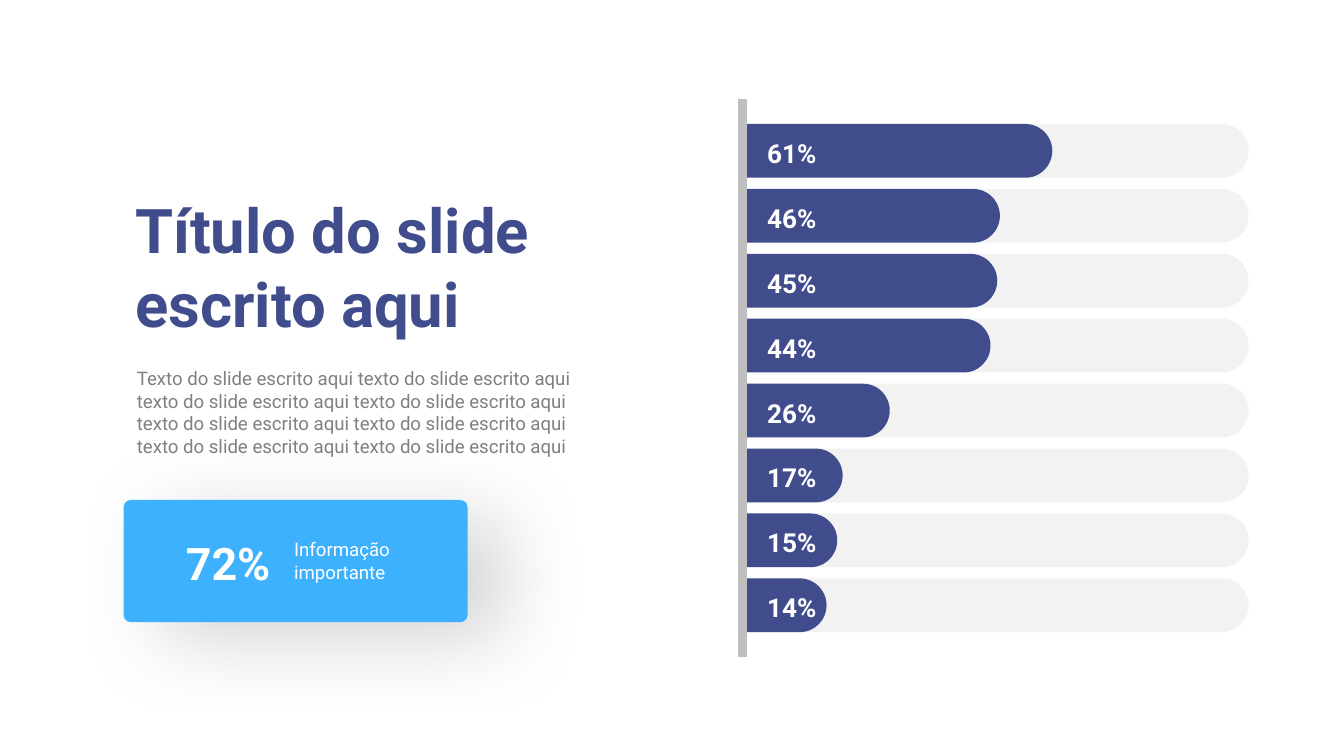
from lxml import etree
from pptx import Presentation
from pptx.dml.color import RGBColor
from pptx.enum.shapes import MSO_CONNECTOR, MSO_SHAPE
from pptx.enum.text import MSO_ANCHOR, MSO_AUTO_SIZE, PP_ALIGN
from pptx.oxml import parse_xml
from pptx.oxml.ns import nsdecls, qn
from pptx.util import Inches, Pt

RECTANGLE, ROUNDED = MSO_SHAPE.RECTANGLE, MSO_SHAPE.ROUNDED_RECTANGLE
STRAIGHT = MSO_CONNECTOR.STRAIGHT
TOP, MIDDLE = MSO_ANCHOR.TOP, MSO_ANCHOR.MIDDLE
GROW = MSO_AUTO_SIZE.SHAPE_TO_FIT_TEXT
LEFT = PP_ALIGN.LEFT

COLORS = {
    "navy": "414C8C",
    "sky": "3DB1FE",
    "track": "F2F2F2",
    "axis": "BFBFBF",
    "body": "808080",
    "white": "FFFFFF",
}
FONT = "Roboto"
COLUMNS, ROWS = 100, 56.25
CELL = Inches(0.1)
BAR_LEFT, BAR_TOP, BAR_HEIGHT, BAR_STEP = 45, 9.23, 4, 4.83
TRACK_END, AXIS_X = 92.9, 55.24
BARS = [
    ("61%", 78.3), ("46%", 74.4), ("45%", 74.2), ("44%", 73.7),
    ("26%", 66.2), ("17%", 62.7), ("15%", 62.3), ("14%", 61.5),
]
BODY = "Texto do slide escrito aqui" + " texto do slide escrito aqui" * 7


def cells(*counts):
    """Convert grid counts to slide lengths."""
    return [round(count * CELL) for count in counts]


def color(name):
    """Look up a named colour."""
    return RGBColor.from_string(COLORS[name])


def add_block(page, kind, area, fill, rounding=None):
    """Add a flat filled shape on the grid."""
    block = page.shapes.add_shape(kind, *cells(*area))
    block.shadow.inherit = False
    block.fill.solid()
    block.fill.fore_color.rgb = color(fill)
    block.line.fill.background()
    if rounding is not None:
        block.adjustments[0] = rounding
    return block


def write(box, text, size, ink, bold=False, anchor=TOP, wrap=True):
    """Write left-aligned text in one format."""
    frame = box.text_frame
    frame.text = text
    frame.word_wrap = wrap
    frame.auto_size = GROW
    frame.vertical_anchor = anchor
    for para in frame.paragraphs:
        para.alignment = LEFT
        para.line_spacing = 1.0
        for span in para.runs:
            span.font.name = FONT
            span.font.size = Pt(size)
            span.font.bold = bold
            span.font.color.rgb = color(ink)


def add_text(page, area, *style, **options):
    """Add a formatted text box on the grid."""
    write(page.shapes.add_textbox(*cells(*area)), *style, **options)


def add_title(page):
    """Place the title in front of the chart's white cover."""
    title = page.shapes.title
    title.left, title.top, title.width, title.height = cells(9.07, 13.8, 40.6, 12.1)
    write(title, "Título do slide escrito aqui", 33, "navy", bold=True)
    title.element.getparent().append(title.element)


def add_axis(page):
    """Draw the vertical base line of the bars."""
    axis = page.shapes.add_connector(STRAIGHT, *cells(AXIS_X, 7.4, AXIS_X, 48.9))
    axis.line.color.rgb = color("axis")
    axis.line.width = Pt(4.5)
    etree.SubElement(axis.element.spPr, qn("a:effectLst"))


def add_bars(page):
    """Draw tracks and bars, square off their left ends and label them."""
    tops = [BAR_TOP + row * BAR_STEP for row in range(len(BARS))]
    ends = [end for _, end in BARS]
    for fill, stops in (("track", [TRACK_END] * len(BARS)), ("navy", ends)):
        for top, end in zip(tops, stops):
            area = (BAR_LEFT, top, end - BAR_LEFT, BAR_HEIGHT)
            add_block(page, ROUNDED, area, fill, 0.5)
    add_block(page, RECTANGLE, (38.7, 4.9, AXIS_X - 38.7, 46.5), "white")
    add_axis(page)
    for top, (label, _) in zip(tops, BARS):
        add_text(page, (56.1, top + 0.45, 5.7, 3.4), label, 14, "white",
                 bold=True, anchor=MIDDLE, wrap=False)


def add_soft_shadow(shape):
    """Give a shape a wide, faint shadow to the lower right."""
    effects = shape.element.spPr.find(qn("a:effectLst"))
    effects.append(parse_xml(
        f'<a:outerShdw {nsdecls("a")} blurRad="{Pt(45)}" dist="{Pt(22)}" '
        f'dir="{25 * 60000}" algn="ctr" rotWithShape="0">'
        '<a:srgbClr val="000000"><a:alpha val="17000"/></a:srgbClr>'
        '</a:outerShdw>'))


def add_highlight(page):
    """Draw the card with the key figure."""
    card = add_block(page, ROUNDED, (9.2, 37.2, 25.6, 9.1), "sky", 0.06)
    add_soft_shadow(card)
    add_text(page, (12.85, 39.4, 9.7, 5), "72%", 24, "white", bold=True)
    add_text(page, (20.9, 39.54, 13.2, 4.4), "Informação\nimportante", 10, "white")


def main():
    """Build and save the slide."""
    deck = Presentation()
    deck.slide_width, deck.slide_height = cells(COLUMNS, ROWS)
    page = deck.slides.add_slide(deck.slide_layouts[5])
    add_bars(page)
    add_title(page)
    add_text(page, (9.2, 26.83, 34.8, 7.7), BODY, 10, "body")
    add_highlight(page)
    deck.save("out.pptx")


if __name__ == "__main__":
    main()
